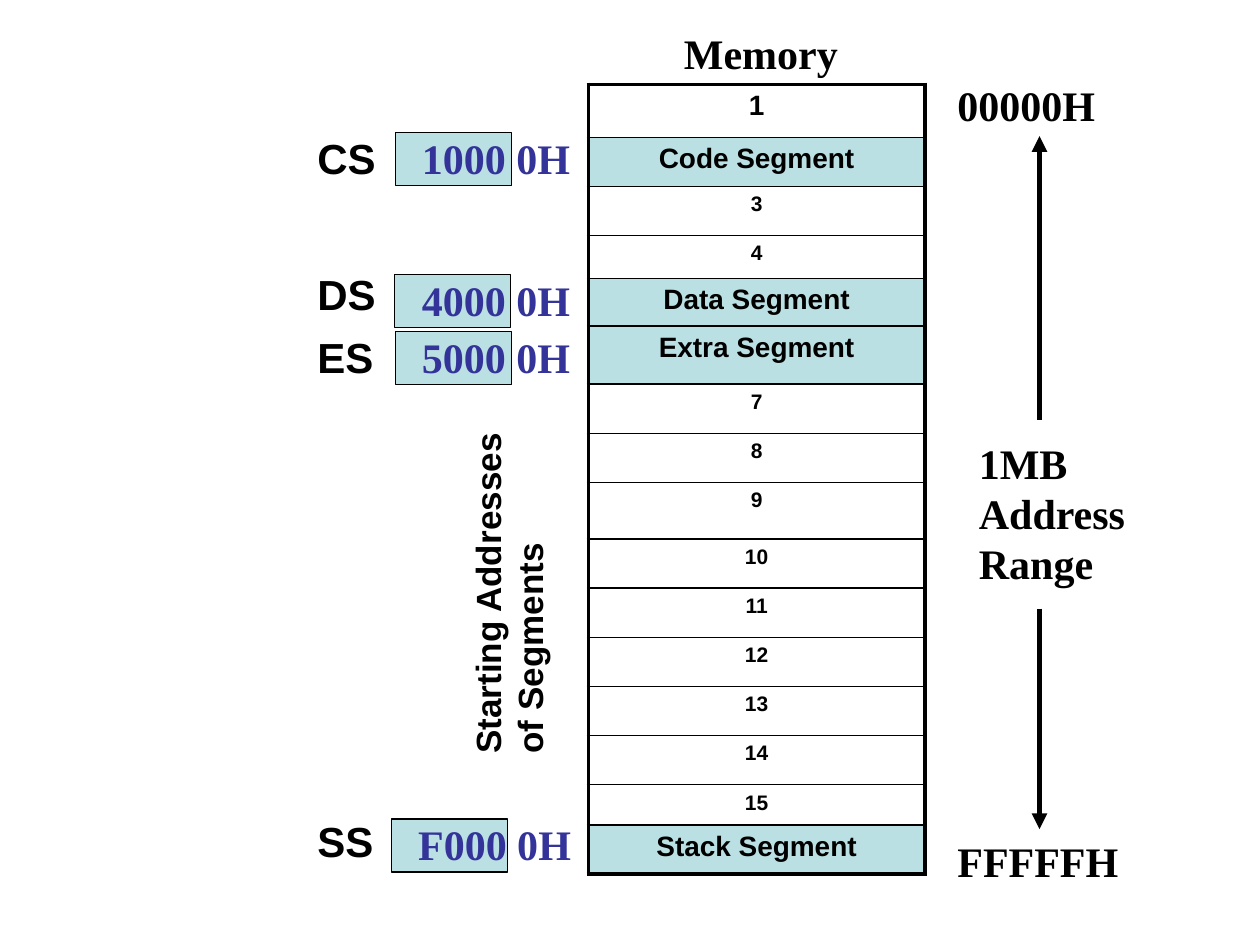
from lxml import etree
from pptx import Presentation
from pptx.dml.color import RGBColor
from pptx.enum import shapes, text
from pptx.oxml import ns
from pptx import util as u

PX = 9144
COLORS = {"ink": "000000", "paper": "FFFFFF", "segment": "BBE0E3", "address": "333399"}
SERIF = {"name": "Times New Roman", "size": u.Pt(24), "bold": True}
SANS = {**SERIF, "name": "Arial"}
ROW_HEIGHTS = [42, 39, 39, 34, 38, 46, 39, 39, 45, 39, 39, 39, 39, 39, 32, 39]
SEGMENTS = {2: "Code Segment", 5: "Data Segment", 6: "Extra Segment", 16: "Stack Segment"}


def px(*lengths):
    return [u.Emu(length * PX) for length in lengths]


def color(name):
    return RGBColor.from_string(COLORS[name])


def set_font(font, formats, ink="ink"):
    for key, value in formats.items():
        setattr(font, key, value)
    font.color.rgb = color(ink)


def add_label(slide, words, box, formats, ink="ink"):
    label = slide.shapes.add_textbox(*px(*box))
    label.text_frame.word_wrap = True
    label.text_frame.auto_size = text.MSO_AUTO_SIZE.SHAPE_TO_FIT_TEXT
    label.text_frame.text = words
    set_font(label.text_frame.paragraphs[0].runs[0].font, formats, ink)
    return label


def add_arrow(slide, start, end, head):
    arrow = slide.shapes.add_connector(shapes.MSO_CONNECTOR.STRAIGHT, *px(*start, *end))
    arrow.line.color.rgb = color("ink")
    arrow.line.width = u.Pt(3)
    etree.SubElement(arrow.line._get_or_add_ln(), ns.qn(f"a:{head}"), type="triangle")
    etree.SubElement(arrow._element.spPr, ns.qn("a:effectLst"))


def set_borders(cell, widths):
    properties = cell._tc.get_or_add_tcPr()
    for side, width in widths.items():
        border = etree.SubElement(properties, ns.qn(f"a:ln{side}"), w=str(u.Pt(width)))
        fill = etree.SubElement(border, ns.qn("a:solidFill"))
        etree.SubElement(fill, ns.qn("a:srgbClr"), val=COLORS["ink"])


def add_memory(slide, left, top, width):
    add_label(slide, "Memory", (left + 66, top - 50, 158, 50), SERIF)
    count = len(ROW_HEIGHTS)
    memory = slide.shapes.add_table(count, 1, *px(left, top, width, sum(ROW_HEIGHTS))).table
    memory.first_row = memory.horz_banding = False
    memory.columns[0].width = px(width)[0]
    for number, height in enumerate(ROW_HEIGHTS, 1):
        memory.rows[number - 1].height = px(height)[0]
        cell = memory.cell(number - 1, 0)
        set_borders(cell, {"L": 2.25, "R": 2.25,
                           "T": 2.25 if number == 1 else 1,
                           "B": 2.25 if number == count else 1})
        cell.fill.solid()
        cell.fill.fore_color.rgb = color("segment" if number in SEGMENTS else "paper")
        cell.text = SEGMENTS.get(number, str(number))
        paragraph = cell.text_frame.paragraphs[0]
        paragraph.alignment = text.PP_ALIGN.CENTER
        size = 16 if number == 1 or number in SEGMENTS else 12
        set_font(paragraph.runs[0].font, {**SANS, "size": u.Pt(size)})


def add_register(slide, name, address, left, top, name_top, box_left, address_left):
    register = slide.shapes.add_shape(
        shapes.MSO_SHAPE.RECTANGLE, *px(left + box_left, top + 5, 92, 42))
    register.shadow.inherit = False
    register.fill.solid()
    register.fill.fore_color.rgb = color("segment")
    register.line.color.rgb = color("ink")
    register.line.width = u.Pt(0.75)
    add_label(slide, address, (left + address_left, top, 158, 50), SERIF, "address")
    add_label(slide, name, (left, top + name_top, 67, 50), SANS)


def add_registers(slide, left, top):
    for name, address, down, name_top, box_left, address_left in (
        ("CS", "1000 0H", 0, 0, 72, 83),
        ("DS", "4000 0H", 113, -5, 71, 83),
        ("ES", "5000 0H", 158, 0, 72, 83),
        ("SS", "F000 0H", 545, -3, 69, 80),
    ):
        add_register(slide, name, address, left, top + down, name_top, box_left, address_left)
    caption = add_label(slide, "Starting Addresses of Segments",
                        (left + 20, top + 328, 283, 77), {**SANS, "size": u.Pt(20)})
    caption.rotation = 270


def add_range(slide, left, top):
    add_label(slide, "00000H", (left, top, 133, 50), SERIF)
    add_label(slide, "FFFFFH", (left, top + 600, 158, 50), SERIF)
    add_label(slide, "1MB Address Range", (left + 17, top + 284, 142, 130), SERIF)
    axis = left + 75
    add_arrow(slide, (axis, top + 425), (axis, top + 600), "tailEnd")
    add_arrow(slide, (axis, top + 50), (axis, top + 275), "headEnd")


def main():
    deck = Presentation()
    deck.slide_width, deck.slide_height = px(1000, 750)
    slide = deck.slides.add_slide(deck.slide_layouts[6])
    add_memory(slide, 467, 67, 267)
    add_range(slide, 750, 58)
    add_registers(slide, 242, 100)
    deck.save("out.pptx")


if __name__ == "__main__":
    main()
